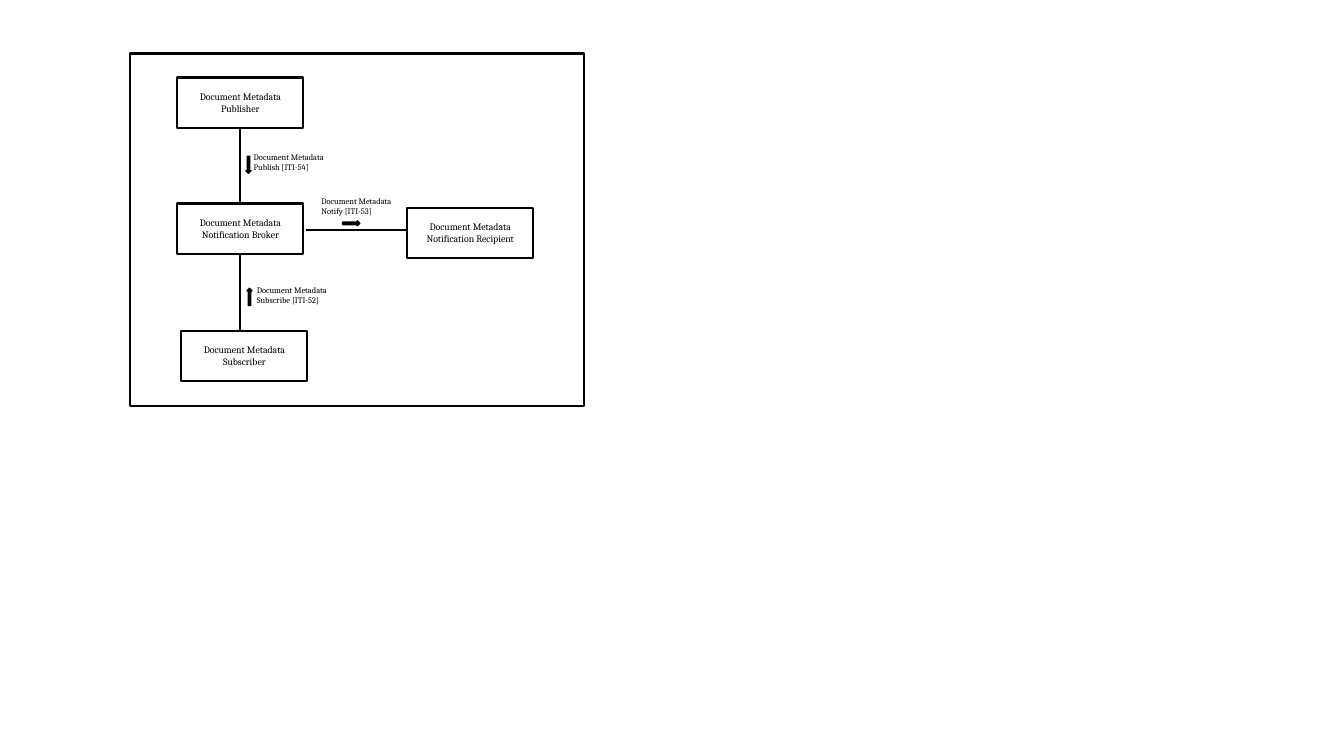
from lxml import etree
from pptx import Presentation
from pptx.dml.color import RGBColor
from pptx.enum import shapes, text
from pptx.oxml import ns
from pptx.util import Pt

BLACK = RGBColor(0x00, 0x00, 0x00)
WHITE = RGBColor(0xFF, 0xFF, 0xFF)
FONT = "Cambria"

deck = Presentation()
deck.slide_width, deck.slide_height = Pt(960), Pt(540)
page = deck.slides.add_slide(deck.slide_layouts[6])


def add_shape(kind, left, top, width, height, line_width, fill=None):
    shape = page.shapes.add_shape(kind, Pt(left), Pt(top), Pt(width), Pt(height))
    shape.shadow.inherit = False
    if fill is None:
        shape.fill.background()
    else:
        shape.fill.solid()
        shape.fill.fore_color.rgb = fill
    shape.line.color.rgb = BLACK
    shape.line.width = Pt(line_width)
    return shape


def write(box, wording, size, align, anchor):
    frame = box.text_frame
    frame.word_wrap = True
    frame.vertical_anchor = anchor
    para = frame.paragraphs[0]
    para.alignment = align
    span = para.add_run()
    span.text = wording
    span.font.name = FONT
    span.font.size = Pt(size)
    span.font.color.rgb = BLACK


# Outer frame
add_shape(shapes.MSO_SHAPE.RECTANGLE, 92.9, 38.2, 324, 252, 1.5)

# Connections, drawn behind the actor boxes
for x1, y1, x2, y2 in [(171.4, 92.2, 171.4, 236.2), (290.9, 164.2, 218.9, 164.2)]:
    link = page.shapes.add_connector(
        shapes.MSO_CONNECTOR.STRAIGHT, Pt(x1), Pt(y1), Pt(x2), Pt(y2))
    link.line.color.rgb = BLACK
    link.line.width = Pt(1)
    etree.SubElement(link._element.spPr, ns.qn("a:effectLst"))

# Actor boxes
actors = [
    ("Document Metadata Notification Recipient", 290.9, 148.3),
    ("Document Metadata Subscriber", 129.6, 236.2),
    ("Document Metadata Publisher", 126.7, 55.4),
    ("Document Metadata Notification Broker", 126.7, 145.4),
]
for wording, left, top in actors:
    actor = add_shape(shapes.MSO_SHAPE.RECTANGLE, left, top, 90, 36, 1.5, WHITE)
    write(actor, wording, 7, text.PP_ALIGN.CENTER, text.MSO_ANCHOR.MIDDLE)

# Transaction labels
labels = [
    ("Document Metadata Publish [ITI-54]", 174.2, 105.1),
    ("Document Metadata Subscribe [ITI-52]", 176.4, 200.2),
    ("Document Metadata Notify [ITI-53]", 222.5, 136.8),
]
for wording, left, top in labels:
    label = page.shapes.add_textbox(Pt(left), Pt(top), Pt(72), Pt(36))
    write(label, wording, 6, text.PP_ALIGN.LEFT, text.MSO_ANCHOR.TOP)

# Direction arrows: publish down, notify right, subscribe up
for left, top, turn in [(175.7, 111.6, 0), (249.1, 153.4, 270), (176.4, 205.9, 180)]:
    arrow = add_shape(shapes.MSO_SHAPE.DOWN_ARROW, left, top, 3.6, 12.2, 1, BLACK)
    arrow.rotation = turn

deck.save("out.pptx")
